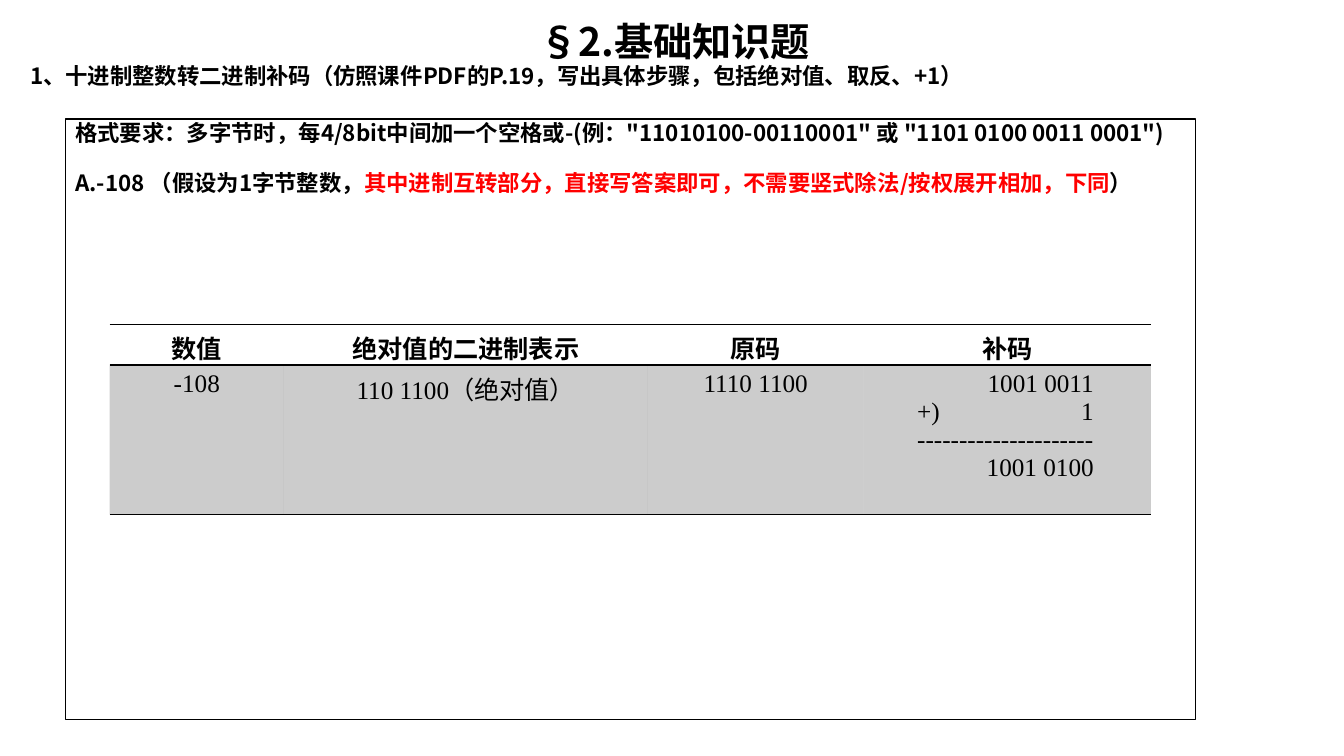
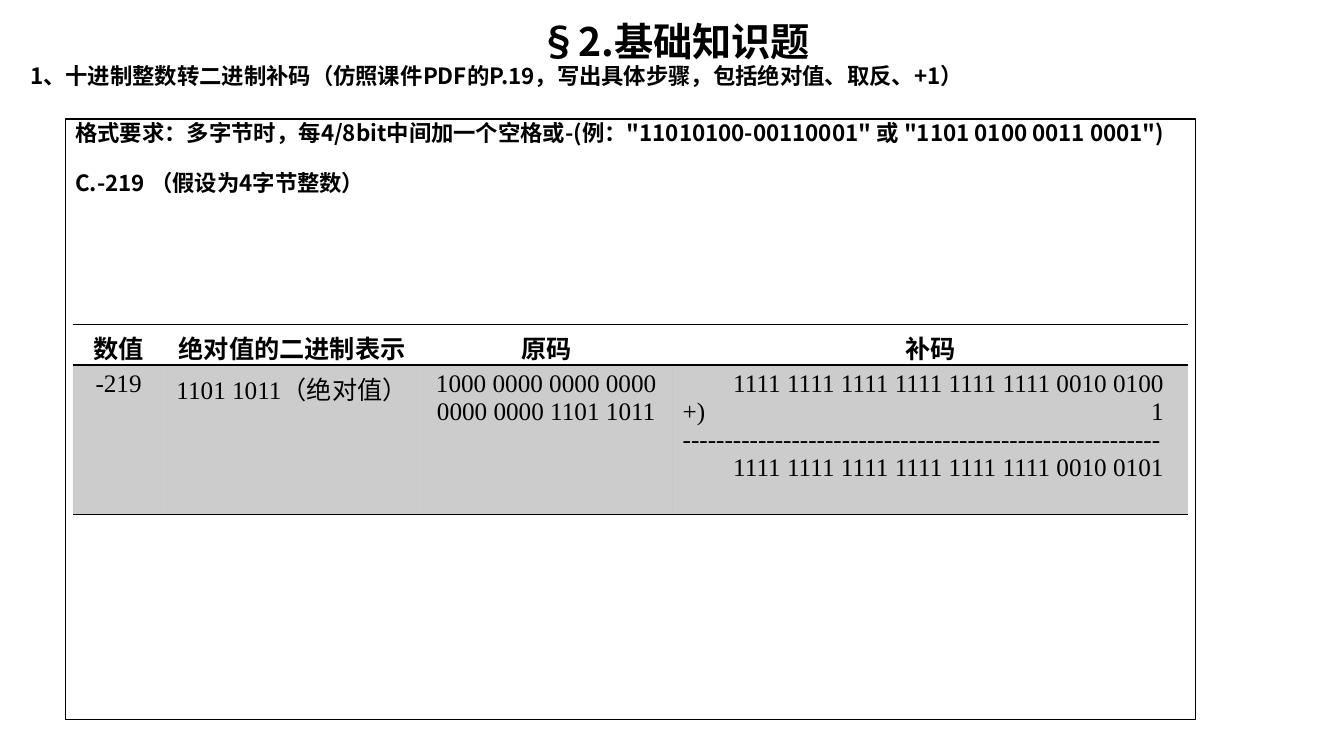
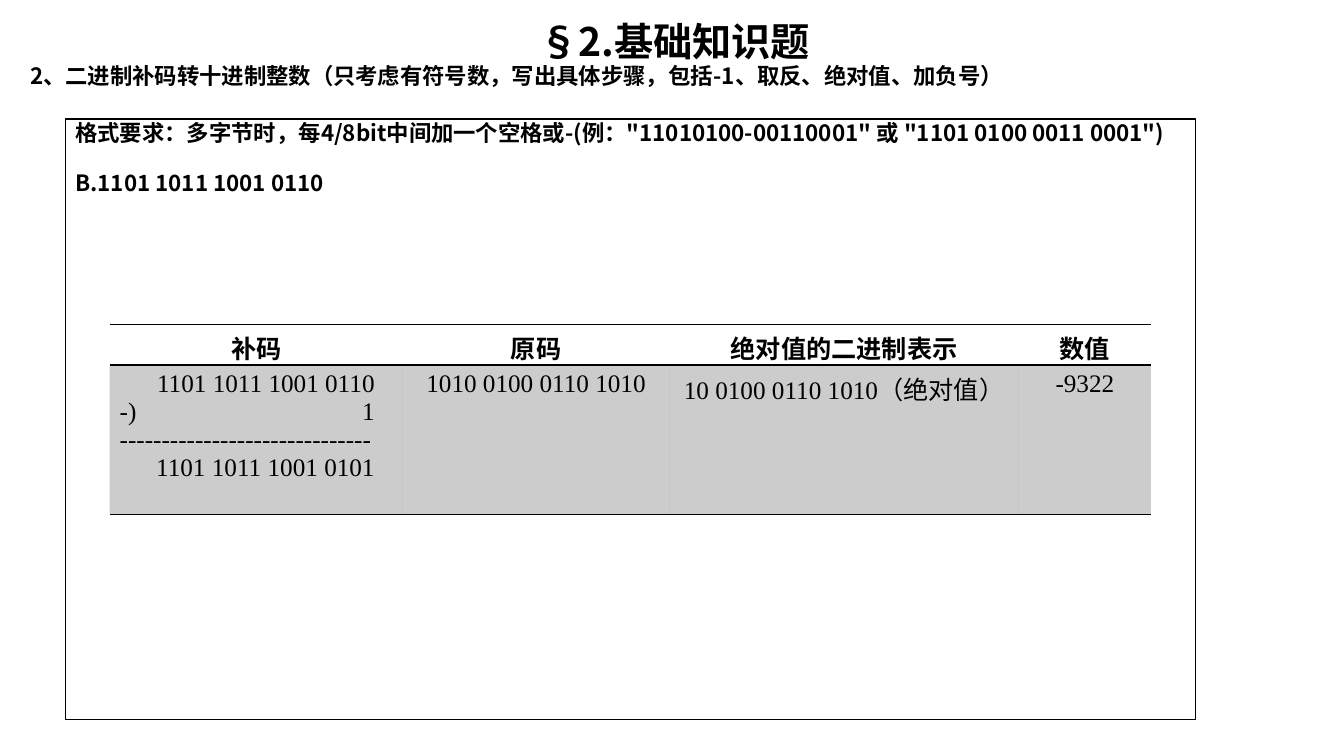
from pptx import Presentation
from pptx.dml.color import RGBColor
from pptx.enum.shapes import MSO_SHAPE
from pptx.enum.text import MSO_ANCHOR, PP_ALIGN
from pptx.oxml.ns import qn
from pptx.util import Cm, Pt
from lxml.etree import SubElement

# Shared style
BLACK = RGBColor(0x00, 0x00, 0x00)
RED = RGBColor(0xFF, 0x00, 0x00)
SANS, SERIF = "Noto Sans CJK SC", "Times New Roman"
LINE_SPACING = 0.83
NO_STYLE = "{2D5ABB26-0587-4C30-8999-92F81FD0307C}"
FRAME = (1.65, 3.0, 28.47, 15.14)
TABLE_TOP = 8.18
ROW_HEIGHTS = (0.89, 3.76)

# Content
TITLE = "§2.基础知识题"
TO_BINARY = "1、十进制整数转二进制补码（仿照课件PDF的P.19，写出具体步骤，包括绝对值、取反、+1）"
TO_DECIMAL = "2、二进制补码转十进制整数（只考虑有符号数，写出具体步骤，包括-1、取反、绝对值、加负号）"
FORMAT_RULE = '格式要求：多字节时，每4/8bit中间加一个空格或-(例："11010100-00110001" 或 "1101 0100 0011 0001")'
VALUE, ABSOLUTE, SIGNED, COMPLEMENT = "数值", "绝对值的二进制表示", "原码", "补码"

# A cell is a string, or a written sum: operand, sign, dashes, result, width, inset
SLIDES = [
    {
        "topic": TO_BINARY,
        "question": [
            ("A.-108 （假设为1字节整数，", BLACK),
            ("其中进制互转部分，直接写答案即可，不需要竖式除法/按权展开相加，下同", RED),
            ("）", BLACK),
        ],
        "columns": [
            (VALUE, 4.39, "-108"),
            (ABSOLUTE, 9.17, "110 1100（绝对值）"),
            (SIGNED, 5.44, "1110 1100"),
            (COMPLEMENT, 7.24, ("1001 0011", "+)", 21, "1001 0100", 4.45, 1.35)),
        ],
    },
    {
        "topic": TO_BINARY,
        "question": [("C.-219 （假设为4字节整数）", BLACK)],
        "columns": [
            (VALUE, 2.31, "-219"),
            (ABSOLUTE, 6.43, "1101 1011（绝对值）"),
            (SIGNED, 6.38, "1000 0000 0000 0000 0000 0000 1101 1011"),
            (COMPLEMENT, 12.98, ("1111 1111 1111 1111 1111 1111 0010 0100", "+)", 57,
                                 "1111 1111 1111 1111 1111 1111 0010 0101", 12.12, 0.25)),
        ],
    },
    {
        "topic": TO_DECIMAL,
        "question": [("B.1101 1011 1001 0110", BLACK)],
        "columns": [
            (COMPLEMENT, 7.39, ("1101 1011 1001 0110", "-)", 30,
                                "1101 1011 1001 0101", 6.43, 0.25)),
            (SIGNED, 6.71, "1010 0100 0110 1010"),
            (ABSOLUTE, 8.81, "10 0100 0110 1010（绝对值）"),
            (VALUE, 3.33, "-9322"),
        ],
    },
]


def add_run(p, text, size, font=SANS, color=BLACK, bold=True):
    r = p.add_run()
    r.text = text
    r.font.size = Pt(size)
    r.font.name = font
    r.font.bold = bold
    r.font.color.rgb = color
    SubElement(r.font._element, qn("a:ea")).set("typeface", SANS)


def add_heading(s, topic):
    tf = s.shapes.add_textbox(Cm(0.51), Cm(0.5), Cm(32.99), Cm(2.3)).text_frame
    tf.word_wrap = True
    p = tf.paragraphs[0]
    p.alignment = PP_ALIGN.CENTER
    p.line_spacing = LINE_SPACING
    add_run(p, TITLE, 28)
    p = tf.add_paragraph()
    p.line_spacing = LINE_SPACING
    p.space_before = Pt(2)
    add_run(p, topic, 16)


def add_frame(s, question):
    sp = s.shapes.add_shape(MSO_SHAPE.RECTANGLE, *map(Cm, FRAME))
    sp.shadow.inherit = False
    sp.fill.background()
    sp.line.color.rgb = BLACK
    sp.line.width = Pt(0.75)
    tf = sp.text_frame
    tf.word_wrap = True
    tf.vertical_anchor = MSO_ANCHOR.TOP
    rule, ask = tf.paragraphs[0], tf.add_paragraph()
    for p in (rule, ask):
        p.alignment = PP_ALIGN.LEFT
        p.line_spacing = LINE_SPACING
    ask.space_before = Pt(19.3)
    add_run(rule, FORMAT_RULE, 16)
    for text, color in question:
        add_run(ask, text, 16, color=color)


def add_border(cell, side):
    ln = SubElement(cell._tc.get_or_add_tcPr(), qn("a:" + side), w=str(Pt(1)))
    fill = SubElement(ln, qn("a:solidFill"))
    SubElement(fill, qn("a:srgbClr"), val=str(BLACK))


def shade(cell):
    cell.fill.solid()
    cell.fill.fore_color.rgb = BLACK
    color = cell._tc.tcPr.find(qn("a:solidFill")).find(qn("a:srgbClr"))
    SubElement(color, qn("a:alpha"), val="20000")


def fill_sum(cell, operand, sign, dashes, result, width, inset):
    """Write a column sum whose digits end at a right tab."""
    cell.margin_left = Cm(inset)
    tf = cell.text_frame
    lines = ["\t" + operand, sign + "\t1", "-" * dashes, "\t" + result]
    for i, text in enumerate(lines):
        p = tf.add_paragraph() if i else tf.paragraphs[0]
        p.alignment = PP_ALIGN.LEFT
        tabs = SubElement(p._p.get_or_add_pPr(), qn("a:tabLst"))
        SubElement(tabs, qn("a:tab"), pos=str(Cm(width)), algn="r")
        add_run(p, text, 18, SERIF, bold=False)


def fill_text(cell, text, bold):
    p = cell.text_frame.paragraphs[0]
    p.alignment = PP_ALIGN.CENTER
    add_run(p, text, 18, SERIF, bold=bold)


def add_steps_table(s, columns):
    width = sum(w for _, w, _ in columns)
    left = FRAME[0] + (FRAME[2] - width) / 2
    table = s.shapes.add_table(2, len(columns), Cm(left), Cm(TABLE_TOP),
                               Cm(width), Cm(sum(ROW_HEIGHTS))).table
    table.horz_banding = False
    table._tbl.tblPr.find(qn("a:tableStyleId")).text = NO_STYLE
    for row, height in zip(table.rows, ROW_HEIGHTS):
        row.height = Cm(height)
    for i, (name, w, content) in enumerate(columns):
        table.columns[i].width = Cm(w)
        head, body = table.cell(0, i), table.cell(1, i)
        # Borders precede the fill in the cell properties
        for cell in (head, body):
            add_border(cell, "lnT")
            add_border(cell, "lnB")
        head.fill.background()
        shade(body)
        fill_text(head, name, True)
        if isinstance(content, tuple):
            fill_sum(body, *content)
        else:
            fill_text(body, content, False)


def main():
    prs = Presentation()
    prs.slide_width, prs.slide_height = Cm(33.87), Cm(19.05)
    for item in SLIDES:
        s = prs.slides.add_slide(prs.slide_layouts[6])
        add_heading(s, item["topic"])
        add_frame(s, item["question"])
        add_steps_table(s, item["columns"])
    prs.save("out.pptx")


if __name__ == "__main__":
    main()
